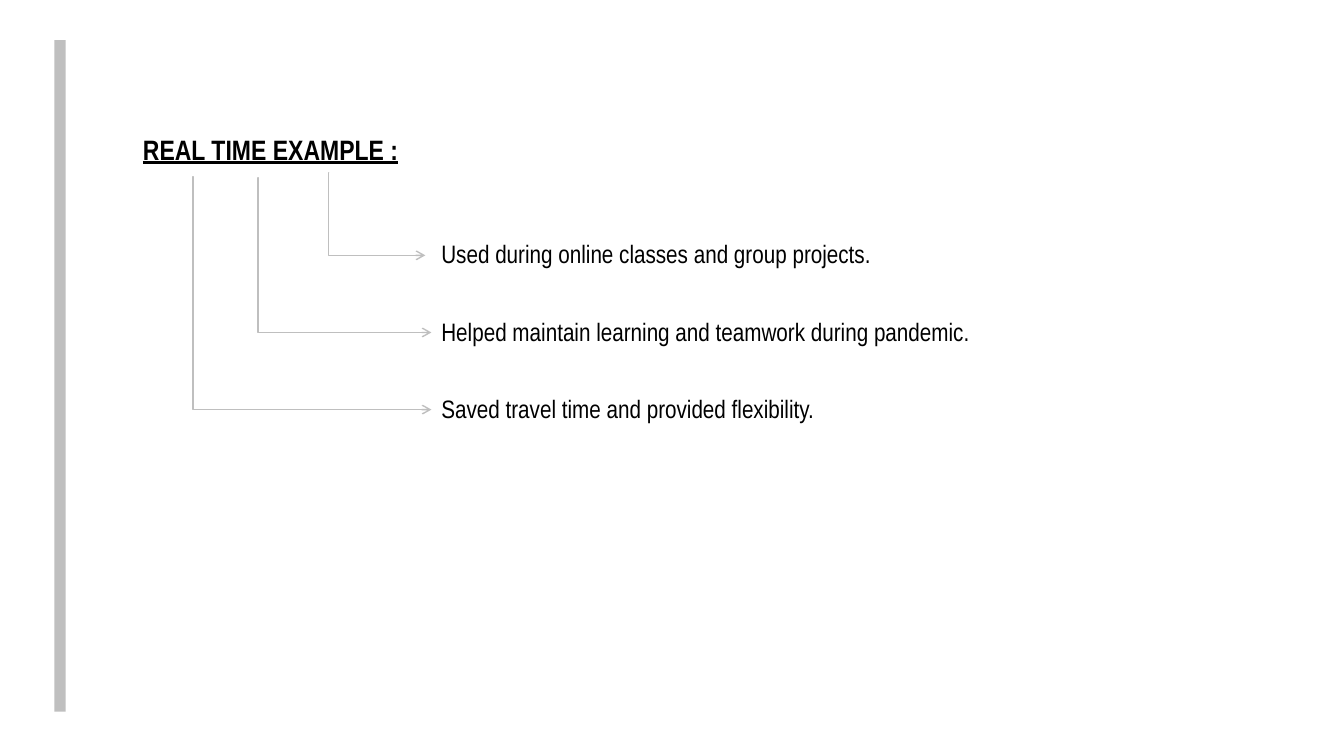
import pptx
import pptx.dml.color
import pptx.enum.shapes
import pptx.enum.text
import pptx.oxml
import pptx.oxml.ns
import pptx.util

GRAY = pptx.dml.color.RGBColor(0xBF, 0xBF, 0xBF)
BLACK = pptx.dml.color.RGBColor(0x00, 0x00, 0x00)

ITEM_LEFT = 32.1
ITEM_TOP = 30.93
ITEM_STEP = 10.2
ITEM_HEIGHT = 5.33
ARROW_DROP = 2.85

ITEMS = [
    ("Used during online classes and group projects.", 43.36, (24.45, 22.8), 31.65),
    ("Helped maintain learning and teamwork during pandemic.", 55.5, (19.2, 23.47), ITEM_LEFT),
    ("Saved travel time and provided flexibility.", 55.5, (14.33, 23.33), ITEM_LEFT),
]


class SlideBuilder:
    font_name = "Arial Narrow"

    def __init__(self, deck):
        self.deck = deck
        self.page = deck.slides.add_slide(deck.slide_layouts[6])

    def across(self, percent):
        return round(self.deck.slide_width * percent / 100)

    def down(self, percent):
        return round(self.deck.slide_height * percent / 100)

    def place(self, left, top, width, height):
        return self.across(left), self.down(top), self.across(width), self.down(height)

    def bar(self, *place):
        shape = self.page.shapes.add_shape(
            pptx.enum.shapes.MSO_SHAPE.RECTANGLE, *self.place(*place))
        shape.shadow.inherit = False
        shape.fill.solid()
        shape.fill.fore_color.rgb = GRAY
        shape.line.fill.background()

    def text(self, words, *place, size=18, heading=False):
        box = self.page.shapes.add_textbox(*self.place(*place))
        frame = box.text_frame
        frame.word_wrap = True
        frame.auto_size = pptx.enum.text.MSO_AUTO_SIZE.SHAPE_TO_FIT_TEXT
        frame.text = words
        font = frame.paragraphs[0].runs[0].font
        font.name = self.font_name
        font.size = pptx.util.Pt(size)
        font.color.rgb = BLACK
        font.bold = heading
        font.underline = heading

    def elbow_arrow(self, start, end):
        connector = self.page.shapes.add_connector(
            pptx.enum.shapes.MSO_CONNECTOR.ELBOW,
            self.across(start[0]), self.down(start[1]),
            self.across(end[0]), self.down(end[1]))
        connector.line.color.rgb = GRAY
        connector.line.width = pptx.util.Pt(1)
        qualify = pptx.oxml.ns.qn
        properties = connector._element.spPr
        guide = pptx.oxml.parse_xml(
            f'<a:gd {pptx.oxml.ns.nsdecls("a")} name="adj1" fmla="val 100"/>')
        properties.find(qualify("a:prstGeom")).find(qualify("a:avLst")).append(guide)
        arrowhead = pptx.oxml.parse_xml(
            f'<a:tailEnd {pptx.oxml.ns.nsdecls("a")} type="arrow"/>')
        properties.find(qualify("a:ln")).append(arrowhead)
        properties.append(pptx.oxml.parse_xml(
            f'<a:effectLst {pptx.oxml.ns.nsdecls("a")}/>'))


def main():
    deck = pptx.Presentation()
    deck.slide_width = pptx.util.Inches(13.33)
    deck.slide_height = pptx.util.Inches(7.5)
    builder = SlideBuilder(deck)
    builder.bar(4.05, 5.33, 0.83, 88.8)
    builder.text("REAL TIME EXAMPLE :", 9.9, 16.93, 27.68, 5.87, size=20, heading=True)
    for row, (words, width, start, arrow_end) in enumerate(ITEMS):
        top = ITEM_TOP + row * ITEM_STEP
        builder.text(words, ITEM_LEFT, top, width, ITEM_HEIGHT)
        builder.elbow_arrow(start, (arrow_end, top + ARROW_DROP))
    deck.save("out.pptx")


if __name__ == "__main__":
    main()
